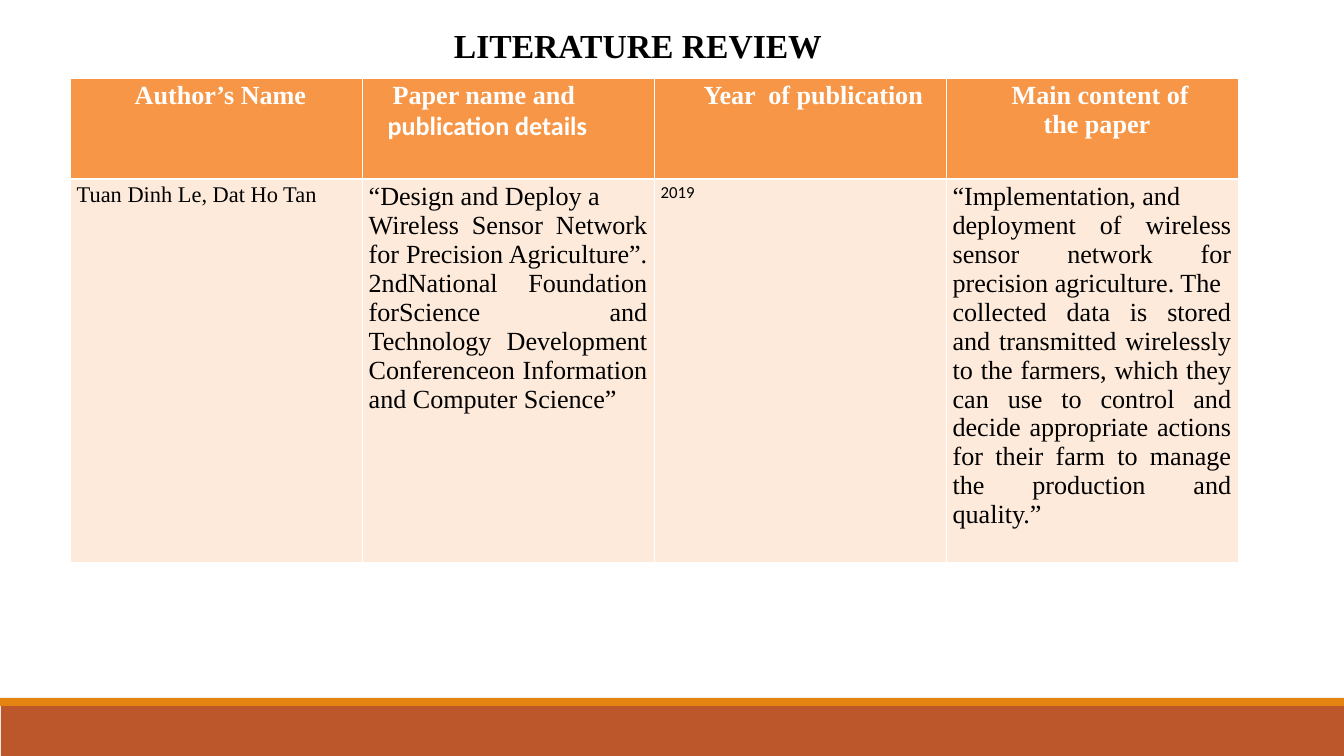
from lxml.etree import SubElement
from pptx import Presentation
from pptx.dml.color import RGBColor
from pptx.enum.shapes import MSO_SHAPE as Shape
from pptx.enum.text import PP_ALIGN as Align
from pptx.oxml.ns import qn
from pptx.util import Pt

PX = 914400 / 67.2
SERIF, SANS = "Times New Roman", "Calibri"
COLORS = {
    "header": "F79646", "body": "FDEADA", "rule": "FFFFFF",
    "header text": "FFFFFF", "text": "000000",
    "strip": "E38312", "footer": "BC572C",
}

# Bands: colour, left, top, width, height
BANDS = [("footer", 1, 706, 1343, 50), ("strip", 0, 698, 1344, 8)]
TITLE = ("LITERATURE REVIEW", 36, SERIF, 395)
TITLE_BOX = (59, 25, 1226, 41)

TABLE_LEFT, TABLE_TOP, COLUMN_WIDTH = 70, 78, 292
ROW_HEIGHTS = [101, 383]
# Each cell is a list of paragraphs: text, size, font, indent
HEADINGS = [
    [("Author’s Name", 28, SERIF, 58)],
    [("Paper name and", 28, SERIF, 24), ("publication details", 28, SANS, 19)],
    [("Year  of publication", 28, SERIF, 43)],
    [("Main content of", 28, SERIF, 59), ("the paper", 28, SERIF, 91)],
]
REVIEW = [
    [("Tuan Dinh Le, Dat Ho Tan", 24, SERIF, 0)],
    [("“Design and Deploy a", 28, SERIF, 0),
     ("Wireless Sensor Network for Precision Agriculture”. 2ndNational "
      "Foundation forScience and Technology Development Conferenceon "
      "Information and Computer Science”", 28, SERIF, 0)],
    [("2019", 18, SANS, 0)],
    [("“Implementation, and", 28, SERIF, 0),
     ("deployment of wireless sensor network for precision agriculture. The",
      28, SERIF, 0),
     ("collected data is stored and transmitted wirelessly to the farmers, "
      "which they can use to control and decide appropriate actions for their "
      "farm to manage the production and quality.”", 28, SERIF, 0)],
]
JUSTIFIED_COLUMNS = (1, 3)


def px(*lengths):
    return [round(length * PX) for length in lengths]


def rgb(name):
    return RGBColor.from_string(COLORS[name])


def write(frame, paragraphs, color, bold, align=Align.LEFT):
    for i, (text, size, font, indent) in enumerate(paragraphs):
        paragraph = frame.paragraphs[0] if i == 0 else frame.add_paragraph()
        paragraph.alignment = align
        properties = paragraph._p.get_or_add_pPr()
        properties.set("marL", str(px(indent)[0]))
        properties.set("indent", "0")
        run = paragraph.add_run()
        run.text = text
        run.font.size, run.font.name, run.font.bold = Pt(size), font, bold
        run.font.color.rgb = rgb(color)


def add_borders(cell, **widths):
    """Draw cell borders; widths are in points, keyed L, R, T, B in that order."""
    properties = cell._tc.get_or_add_tcPr()
    for side, width in widths.items():
        line = SubElement(properties, qn(f"a:ln{side}"), w=str(Pt(width)))
        fill = SubElement(line, qn("a:solidFill"))
        SubElement(fill, qn("a:srgbClr"), val=COLORS["rule"])


def add_bands(slide):
    for color, *box in BANDS:
        band = slide.shapes.add_shape(Shape.RECTANGLE, *px(*box))
        band.shadow.inherit = False
        band.fill.solid()
        band.fill.fore_color.rgb = rgb(color)
        band.line.fill.background()


def add_title(slide):
    frame = slide.shapes.add_textbox(*px(*TITLE_BOX)).text_frame
    frame.word_wrap = True
    frame.margin_left = frame.margin_right = 0
    frame.margin_top = frame.margin_bottom = 0
    write(frame, [TITLE], "text", True)


def add_review_table(slide):
    count = len(HEADINGS)
    box = px(TABLE_LEFT, TABLE_TOP, COLUMN_WIDTH * count, sum(ROW_HEIGHTS))
    table = slide.shapes.add_table(len(ROW_HEIGHTS), count, *box).table
    table.horz_banding = False
    for column in table.columns:
        column.width = px(COLUMN_WIDTH)[0]
    for row, height in zip(table.rows, ROW_HEIGHTS):
        row.height = px(height)[0]
    for c, (heading, review) in enumerate(zip(HEADINGS, REVIEW)):
        top, bottom = table.cell(0, c), table.cell(1, c)
        add_borders(top, L=1, R=1, T=1, B=3)
        add_borders(bottom, L=1, R=1, T=3, B=1)
        for cell, color in ((top, "header"), (bottom, "body")):
            cell.fill.solid()
            cell.fill.fore_color.rgb = rgb(color)
        align = Align.JUSTIFY if c in JUSTIFIED_COLUMNS else Align.LEFT
        write(top.text_frame, heading, "header text", True)
        write(bottom.text_frame, review, "text", False, align)


def main():
    deck = Presentation()
    deck.slide_width, deck.slide_height = px(1344, 756)
    slide = deck.slides.add_slide(deck.slide_layouts[6])
    add_bands(slide)
    add_title(slide)
    add_review_table(slide)
    deck.save("out.pptx")


if __name__ == "__main__":
    main()
